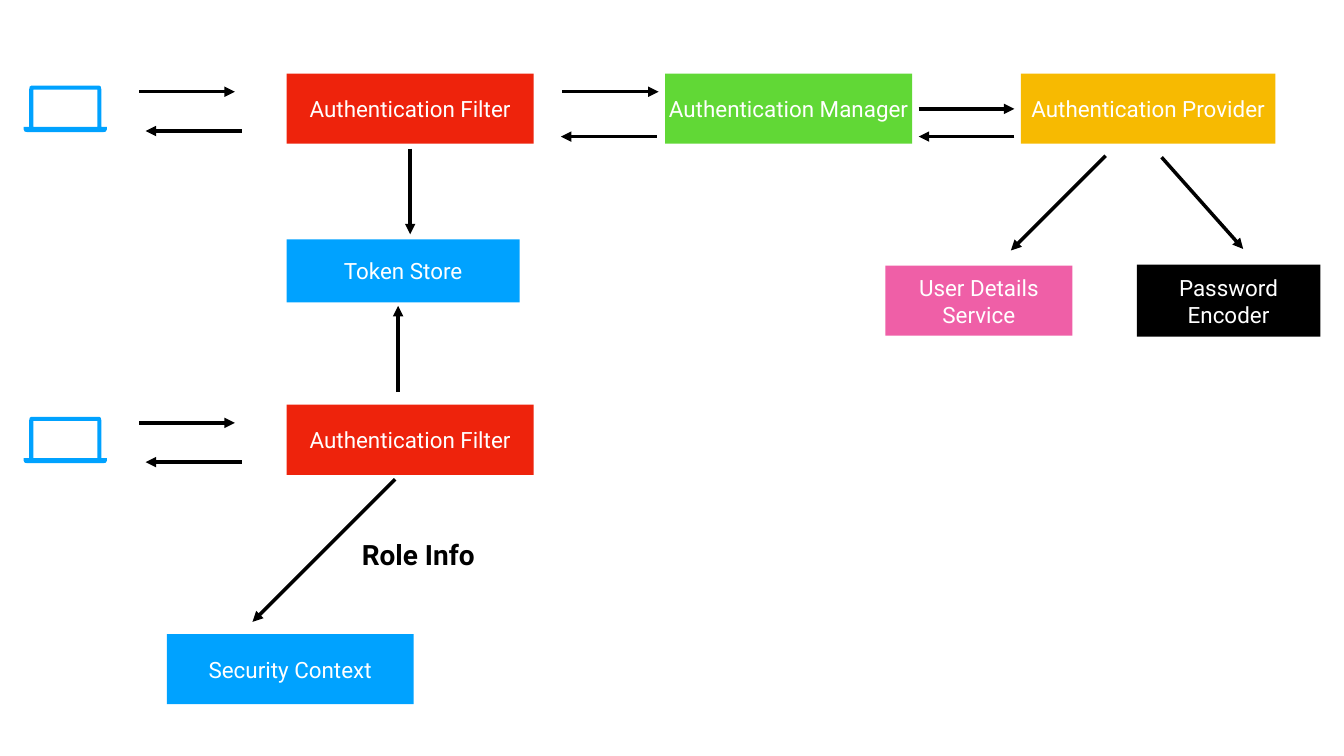
import pptx
import pptx.dml.color
import pptx.enum.shapes
import pptx.enum.text
import pptx.oxml.ns
import pptx.util
from lxml import etree

Inches = pptx.util.Inches
COLORS = {
    "filter": "EE230C",
    "manager": "61D836",
    "provider": "F7BA01",
    "user_details": "EF5FA7",
    "blue": "00A2FF",
    "black": "000000",
    "white": "FFFFFF",
}


class Diagram:
    font = "Roboto"
    label_size = 32
    caption_size = 40
    arrow_width = 5

    def __init__(self, slide):
        self.slide = slide

    def color(self, name):
        return pptx.dml.color.RGBColor.from_string(COLORS[name])

    def paint(self, shape, fill):
        shape.shadow.inherit = False
        shape.fill.solid()
        shape.fill.fore_color.rgb = self.color(fill)
        shape.line.fill.background()

    def label(self, frame, text, size, color, inset=0, wrap=True, bold=False):
        frame.word_wrap = wrap
        frame.vertical_anchor = pptx.enum.text.MSO_ANCHOR.MIDDLE
        frame.margin_left = frame.margin_right = Inches(inset)
        frame.margin_top = frame.margin_bottom = Inches(inset)
        paragraph = frame.paragraphs[0]
        paragraph.alignment = pptx.enum.text.PP_ALIGN.CENTER
        run = paragraph.add_run()
        run.text = text
        run.font.name = self.font
        run.font.size = pptx.util.Pt(size)
        run.font.bold = bold
        run.font.color.rgb = self.color(color)

    def box(self, text, fill, left, top, width=4.9, height=1.39):
        component = self.slide.shapes.add_shape(
            pptx.enum.shapes.MSO_SHAPE.RECTANGLE,
            Inches(left), Inches(top), Inches(width), Inches(height))
        self.paint(component, fill)
        self.label(component.text_frame, text, self.label_size, "white")

    def caption(self, text, left, top, width, height):
        caption = self.slide.shapes.add_textbox(
            Inches(left), Inches(top), Inches(width), Inches(height))
        self.label(caption.text_frame, text, self.caption_size, "black",
                   inset=0.06, wrap=False, bold=True)
        caption.text_frame.auto_size = pptx.enum.text.MSO_AUTO_SIZE.SHAPE_TO_FIT_TEXT

    def arrow(self, x1, y1, x2, y2):
        arrow = self.slide.shapes.add_connector(
            pptx.enum.shapes.MSO_CONNECTOR.STRAIGHT,
            Inches(x1), Inches(y1), Inches(x2), Inches(y2))
        arrow.line.color.rgb = self.color("black")
        arrow.line.width = pptx.util.Pt(self.arrow_width)
        qn = pptx.oxml.ns.qn
        properties = arrow._element.spPr
        etree.SubElement(properties.find(qn("a:ln")), qn("a:tailEnd"), type="triangle")
        etree.SubElement(properties, qn("a:effectLst"))

    def laptop(self, left, top):
        def place(points):
            return [(Inches(left + x), Inches(top + y)) for x, y in points]

        body = place([
            (0.15, 0), (0.12, 0.02), (0.11, 0.07), (0.11, 0.82), (0, 0.82),
            (0, 0.87), (0.02, 0.91), (0.07, 0.92), (1.58, 0.92), (1.63, 0.91),
            (1.65, 0.87), (1.65, 0.82), (1.54, 0.82), (1.54, 0.07), (1.53, 0.02),
            (1.5, 0)])
        screen = place([(0.19, 0.08), (1.46, 0.08), (1.46, 0.82), (0.19, 0.82)])
        builder = self.slide.shapes.build_freeform(*body[0])
        builder.add_line_segments(body[1:], close=True)
        builder.move_to(*screen[0])
        builder.add_line_segments(screen[1:], close=True)
        self.paint(builder.convert_to_shape(), "blue")

    def client_row(self, top):
        self.box("Authentication Filter", "filter", 5.69, top)
        self.laptop(0.47, top + 0.24)
        self.arrow(2.76, top + 0.36, 4.66, top + 0.36)
        self.arrow(4.8, top + 1.14, 2.89, top + 1.14)


def main():
    presentation = pptx.Presentation()
    presentation.slide_width = Inches(26.67)
    presentation.slide_height = Inches(15)
    diagram = Diagram(presentation.slides.add_slide(presentation.slide_layouts[6]))

    for row_top in (1.46, 8.03):
        diagram.client_row(row_top)

    components = [
        ("Authentication Manager", "manager", 13.2, 1.46),
        ("Authentication Provider", "provider", 20.26, 1.46, 5.05),
        ("User Details Service", "user_details", 17.57, 5.27, 3.71),
        ("Password Encoder", "black", 22.56, 5.25, 3.64, 1.43),
        ("Token Store", "blue", 5.69, 4.75, 4.62, 1.25),
        ("Security Context", "blue", 3.31, 12.58),
    ]
    for component in components:
        diagram.box(*component)

    flows = [
        (11.16, 1.82, 13.07, 1.82),
        (13.03, 2.71, 11.13, 2.71),
        (18.23, 2.16, 20.13, 2.16),
        (20.13, 2.71, 18.23, 2.71),
        (21.94, 3.09, 20.06, 4.97),
        (23.05, 3.12, 24.67, 4.94),
        (8.14, 2.95, 8.14, 4.65),
        (7.9, 7.78, 7.9, 6.07),
        (7.84, 9.51, 5.01, 12.34),
    ]
    for flow in flows:
        diagram.arrow(*flow)

    diagram.caption("Role Info", 7.05, 10.61, 2.5, 0.78)
    presentation.save("out.pptx")


if __name__ == "__main__":
    main()
